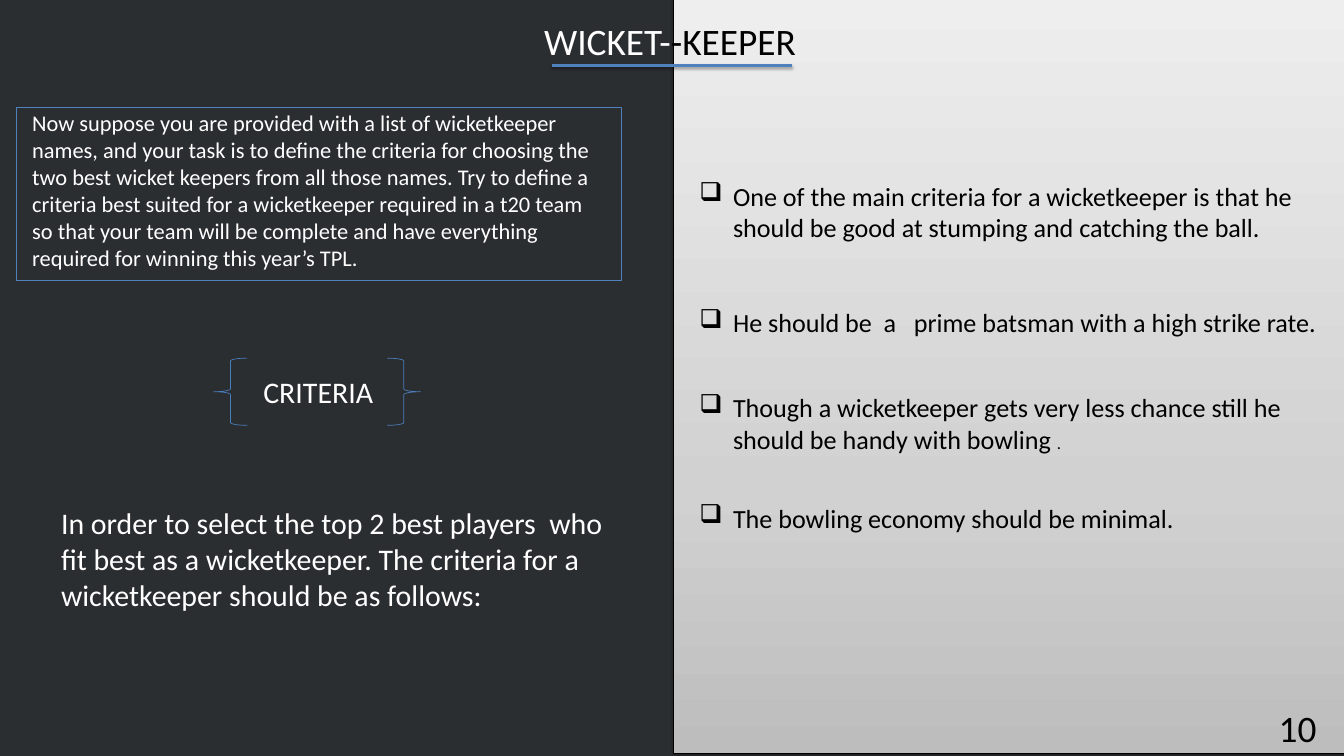
"""Build the wicket-keeper criteria slide."""
from copy import deepcopy

from lxml import etree
from pptx import Presentation
from pptx.dml.color import RGBColor
from pptx.enum import shapes, text
from pptx.oxml.ns import qn
from pptx.util import Inches, Pt

DARK = RGBColor(0x2B, 0x2E, 0x31)
BLACK = RGBColor(0x00, 0x00, 0x00)
WHITE = RGBColor(0xFF, 0xFF, 0xFF)
BLUE = RGBColor(0x4F, 0x81, 0xBD)
BRACE_BLUE = RGBColor(0x4B, 0x7E, 0xBC)
PANEL_STOPS = [
    (0, RGBColor(0xBD, 0xBD, 0xBD)),
    (0.35, RGBColor(0xD1, 0xD1, 0xD1)),
    (1, RGBColor(0xEE, 0xEE, 0xEE)),
]

presentation = Presentation()
presentation.slide_width = Inches(20)
presentation.slide_height = Inches(11.25)
slide = presentation.slides.add_slide(presentation.slide_layouts[6])
slide.background.fill.solid()
slide.background.fill.fore_color.rgb = DARK


def add_text(*runs, left, top, width, height, size, color=BLACK, bullet=None):
    box = slide.shapes.add_textbox(Inches(left), Inches(top), Inches(width), Inches(height))
    frame = box.text_frame
    frame.word_wrap = True
    frame.auto_size = text.MSO_AUTO_SIZE.SHAPE_TO_FIT_TEXT
    paragraph = frame.paragraphs[0]
    if bullet:
        properties = paragraph._p.get_or_add_pPr()
        properties.set("marL", str(Inches(0.5)))
        properties.set("indent", str(Inches(-0.5)))
        etree.SubElement(properties, qn("a:buChar"), char=bullet)
    for words, changes in runs:
        run = paragraph.add_run()
        run.text = words
        run.font.name = "Calibri"
        run.font.size = Pt(changes.get("size", size))
        run.font.color.rgb = changes.get("color", color)


def add_shadow(shape, opacity, distance):
    properties = shape._element.spPr
    effects = properties.find(qn("a:effectLst"))
    if effects is None:
        effects = etree.SubElement(properties, qn("a:effectLst"))
    shadow = etree.SubElement(effects, qn("a:outerShdw"), blurRad=str(Pt(3.1)),
                              dist=str(Pt(distance)), dir="5400000", rotWithShape="0")
    color = etree.SubElement(shadow, qn("a:srgbClr"), val=str(BLACK))
    etree.SubElement(color, qn("a:alpha"), val=str(opacity * 1000))


outlines = [
    (shapes.MSO_SHAPE.RECTANGLE, 10.02, -0.04, 10.3, 11.25, BLACK),
    (shapes.MSO_SHAPE.RECTANGLE, 0.25, 1.59, 9, 2.58, BLUE),
    (shapes.MSO_SHAPE.LEFT_BRACE, 3.18, 5.33, 0.5, 1, BRACE_BLUE),
    (shapes.MSO_SHAPE.RIGHT_BRACE, 5.76, 5.33, 0.5, 1, BRACE_BLUE),
]
drawn = []
for kind, left, top, width, height, color in outlines:
    shape = slide.shapes.add_shape(kind, Inches(left), Inches(top), Inches(width), Inches(height))
    shape.fill.background()
    shape.line.color.rgb = color
    shape.line.width = Pt(0.75)
    shape.shadow.inherit = False
    drawn.append(shape)

panel = drawn[0]
panel.fill.gradient()
panel.fill.gradient_angle = 90
first_stop = panel.fill._fill._gradFill.gsLst[0]
first_stop.addnext(deepcopy(first_stop))
for stop, (position, color) in zip(panel.fill.gradient_stops, PANEL_STOPS):
    stop.position = position
    stop.color.rgb = color
add_shadow(panel, 38, 1.6)

underline = slide.shapes.add_connector(shapes.MSO_CONNECTOR.STRAIGHT, Inches(8.21), Inches(0.98),
                                       Inches(11.79), Inches(0.98))
underline.line.color.rgb = BLUE
underline.line.width = Pt(3)
add_shadow(underline, 35, 1.8)

add_text(("WICKET-", {"color": WHITE}), ("-KEEPER", {}),
         left=8, top=0.22, width=4.17, height=0.77, size=40)
add_text(("Now suppose you are provided with a list of wicketkeeper names, and your task is to "
          "define the criteria for choosing the two best wicket keepers from all those names. "
          "Try to define a criteria best suited for a wicketkeeper required in a t20 team so that "
          "your team will be complete and have everything required for winning this year’s TPL.", {}),
         left=0.38, top=1.58, width=8.75, height=2.54, size=24, color=WHITE)
add_text(("CRITERIA", {}), left=3.82, top=5.51, width=2.62, height=0.64, size=32, color=WHITE)
add_text(("In order to select the top 2 best players  who fit best as a wicketkeeper. "
          "The criteria for a wicketkeeper should be as follows:", {}),
         left=0.81, top=7.46, width=8.44, height=1.72, size=32, color=WHITE)

criteria = [
    (2.63, 9.72, 1.65, [("One of the main criteria for a wicketkeeper is that he should be good "
                         "at stumping and catching the ball.", {})]),
    (4.51, 9.44, 0.57, [("He should be  a   prime batsman with a high strike rate.", {})]),
    (5.78, 9.25, 1.35, [("Though a wicketkeeper gets very less chance still he should be handy "
                         "with bowling ", {}), (".", {"size": 18})]),
    (7.42, 8.81, 0.88, [("The bowling economy should be minimal.", {})]),
]
for top, width, height, runs in criteria:
    add_text(*runs, left=10.31, top=top, width=width, height=height, size=28, bullet="❑")

add_text(("10", {}), left=18.93, top=10.44, width=1.2, height=0.77, size=40)

presentation.save("out.pptx")
